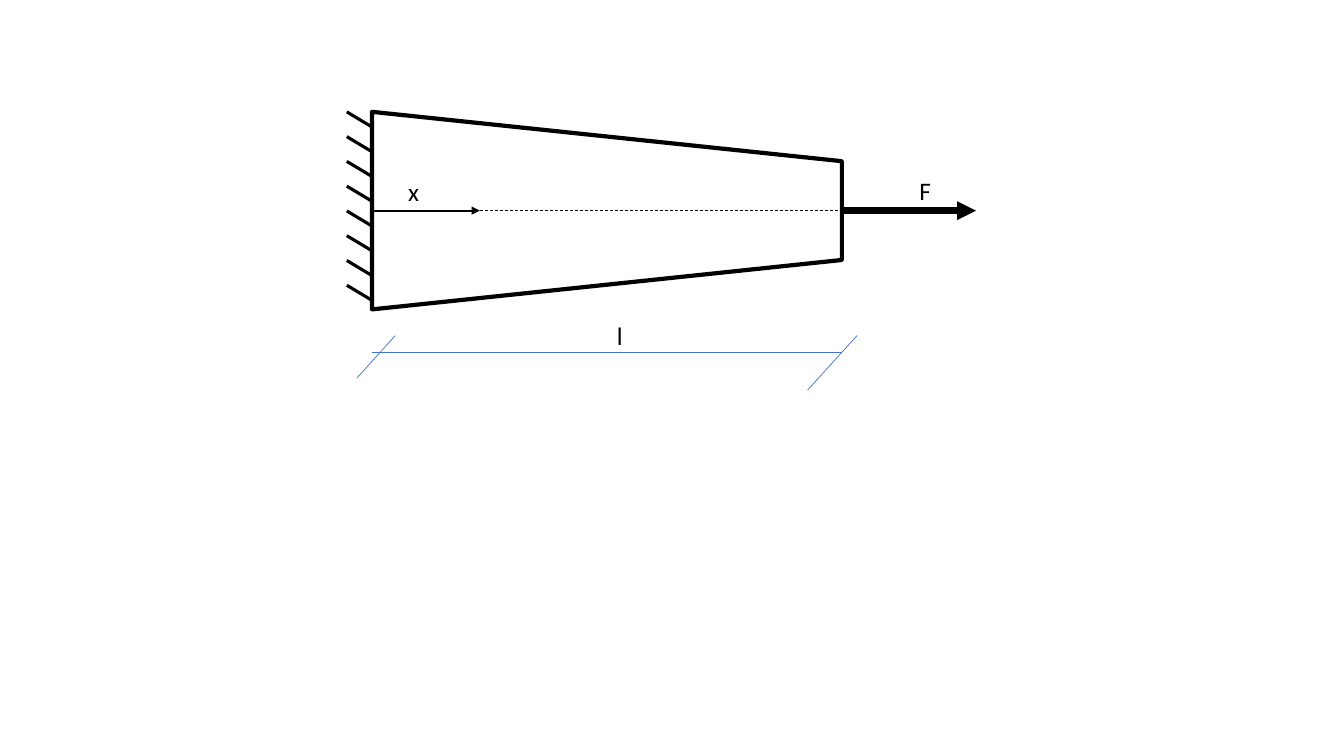
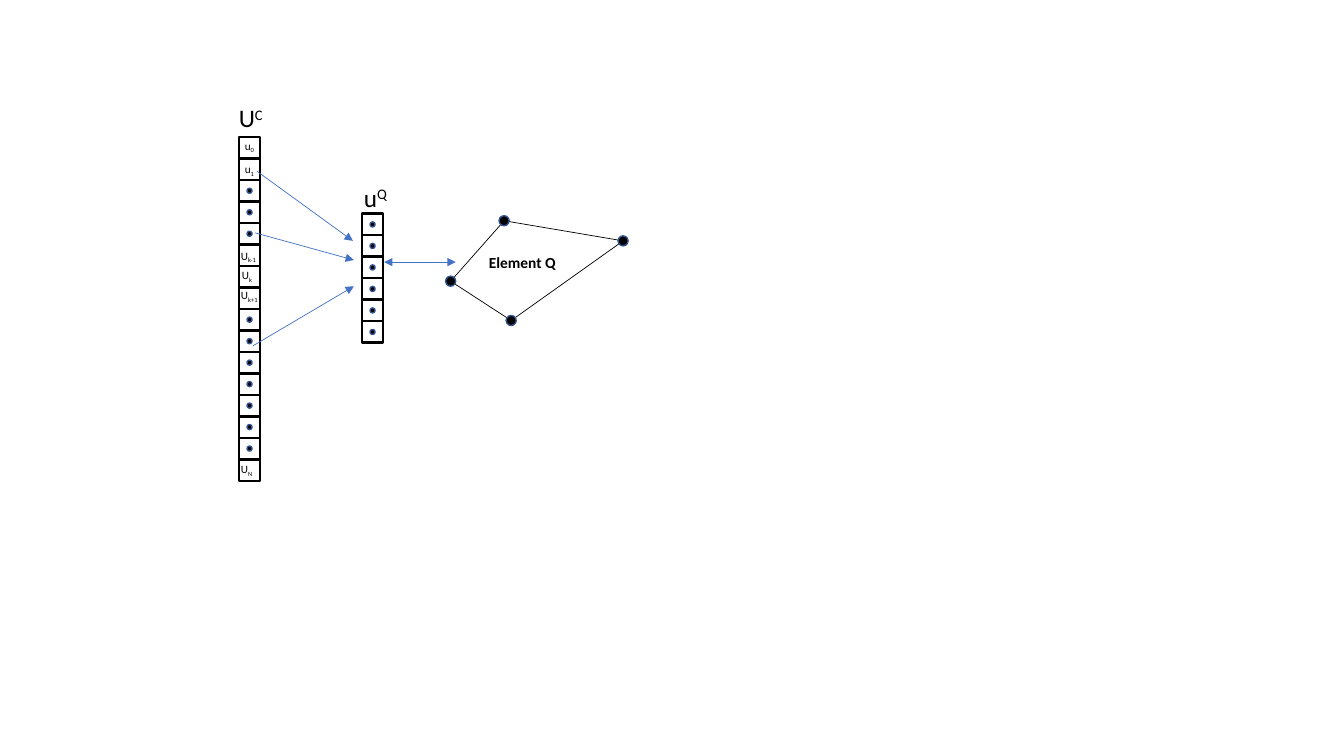
"""Build two slides: a tapered bar under load and a gather of element unknowns."""
from lxml import etree
from pptx import Presentation
from pptx.dml.color import RGBColor
from pptx.enum.dml import MSO_LINE
from pptx.enum.shapes import MSO_CONNECTOR, MSO_SHAPE
from pptx.enum.text import MSO_AUTO_SIZE
from pptx.oxml.ns import qn
from pptx.util import Emu, Pt

PX = 9144
SLIDE_WIDTH, SLIDE_HEIGHT = 1333, 750
BLANK_LAYOUT = 6

BLACK = RGBColor(0x00, 0x00, 0x00)
BLUE = RGBColor(0x44, 0x72, 0xC4)
DOT_EDGE = RGBColor(0x32, 0x54, 0x91)

STRAIGHT = MSO_CONNECTOR.STRAIGHT
DASH = MSO_LINE.DASH
RECTANGLE, ELLIPSE = MSO_SHAPE.RECTANGLE, MSO_SHAPE.OVAL
TRAPEZOID = MSO_SHAPE.TRAPEZOID
FIT_TEXT = MSO_AUTO_SIZE.SHAPE_TO_FIT_TEXT

LABEL = {"name": "Calibri", "size": Pt(18), "bold": False}
CELL_LABEL = {**LABEL, "size": Pt(8)}
ELEMENT_LABEL = {**LABEL, "size": Pt(11), "bold": True}
LABEL_FRAME = {"word_wrap": False, "auto_size": FIT_TEXT}
SUBSCRIPT, SUPERSCRIPT = "-25000", "30000"

BAR_LEFT, BAR_RIGHT, BAR_AXIS, BAR_HEIGHT = 369, 835, 209, 196
HATCH_FIRST, HATCH_LAST, HATCH_COUNT = 126, 298, 8
HATCH_WIDTH, HATCH_RISE = 25, 15
DIMENSION_Y = 350

CELL_SIZE, DOT_SIZE, NODE_SIZE = 21, 5, 10
GLOBAL_LEFT, GLOBAL_TOP, GLOBAL_HEIGHT, GLOBAL_COUNT = 237, 136, 341, 16
LOCAL_LEFT, LOCAL_TOP, LOCAL_HEIGHT, LOCAL_COUNT = 359, 212, 128, 6
GLOBAL_LABELS = {
    0: ("u", "0", 233, 133, 30),
    1: ("u", "1", 233, 156, 30),
    5: ("U", "k-1", 229, 242, 37),
    6: ("U", "k", 230, 261, 31),
    7: ("U", "k+1", 229, 281, 38),
    15: ("U", "N", 229, 454, 32),
}
GATHER_ARROWS = [
    ((255, 170), (350, 239)),
    ((253, 231), (351, 258)),
    ((251, 343), (351, 284)),
]
ELEMENT_NODES = [(500, 219), (618, 239), (507, 318), (447, 279)]


def px(length):
    """Turn px into EMU."""
    return Emu(round(length * PX))


def apply_format(target, values):
    """Set each attribute of the target from a dict."""
    for name, value in values.items():
        setattr(target, name, value)


def add_outline(slide, kind, box, color, weight, fill=None):
    """Add an outlined shape, filled only when a colour is given."""
    shape = slide.shapes.add_shape(kind, *map(px, box))
    shape.shadow.inherit = False
    if fill is None:
        shape.fill.background()
    else:
        shape.fill.solid()
        shape.fill.fore_color.rgb = fill
    shape.line.color.rgb = color
    shape.line.width = Pt(weight)
    return shape


def add_disc(slide, center, size):
    """Add a black disc around a centre point."""
    left, top = (value - size / 2 for value in center)
    add_outline(slide, ELLIPSE, (left, top, size, size), DOT_EDGE, 1, BLACK)


def add_line(slide, start, end, color, weight, ends=(), dash=None):
    """Add a straight line with optional arrowheads and dashes."""
    connector = slide.shapes.add_connector(STRAIGHT, *map(px, (*start, *end)))
    connector.line.color.rgb = color
    connector.line.width = Pt(weight)
    if dash is not None:
        connector.line.dash_style = dash
    outline = connector.line._get_or_add_ln()
    for end_name in ends:
        etree.SubElement(outline, qn(f"a:{end_name}"), type="triangle")
    etree.SubElement(connector._element.spPr, qn("a:effectLst"))


def add_label(slide, text, box, values=LABEL, script="", baseline=SUBSCRIPT):
    """Add a label with an optional raised or lowered index."""
    frame = slide.shapes.add_textbox(*map(px, box)).text_frame
    apply_format(frame, LABEL_FRAME)
    paragraph = frame.paragraphs[0]
    for part in filter(None, (text, script)):
        run = paragraph.add_run()
        run.text = part
        apply_format(run.font, values)
        run.font.color.rgb = BLACK
    if script:
        run._r.get_or_add_rPr().set("baseline", baseline)


def add_vector(slide, left, top, height, count, labelled=()):
    """Add a column of cells with a dot in each unlabelled one."""
    pitch = height / count
    for index in range(count):
        cell_top = top + index * pitch
        box = (left, cell_top, CELL_SIZE, pitch)
        add_outline(slide, RECTANGLE, box, BLACK, 1.75)
        if index not in labelled:
            center = (left + CELL_SIZE / 2, cell_top + pitch / 2)
            add_disc(slide, center, DOT_SIZE)


def build_bar_slide(slide):
    """Draw the clamped tapered bar, its load and its length."""
    length = BAR_RIGHT - BAR_LEFT
    box = ((BAR_LEFT + BAR_RIGHT - BAR_HEIGHT) / 2, BAR_AXIS - length / 2,
           BAR_HEIGHT, length)
    add_outline(slide, TRAPEZOID, box, BLACK, 3).rotation = 90

    pitch = (HATCH_LAST - HATCH_FIRST) / (HATCH_COUNT - 1)
    for index in range(HATCH_COUNT):
        y = HATCH_FIRST + index * pitch
        add_line(slide, (BAR_LEFT, y),
                 (BAR_LEFT - HATCH_WIDTH, y - HATCH_RISE), BLACK, 2.25)

    for start, end in [
        ((BAR_LEFT, DIMENSION_Y), (BAR_RIGHT, DIMENSION_Y)),
        ((354, 375), (392, 333)),
        ((801, 387), (850, 333)),
    ]:
        add_line(slide, start, end, BLUE, 0.5)

    axis_start, axis_end = (BAR_LEFT, BAR_AXIS), (476, BAR_AXIS)
    load_point = (BAR_RIGHT, BAR_AXIS)
    add_line(slide, load_point, (968, BAR_AXIS), BLACK, 4.5, ["tailEnd"])
    add_line(slide, axis_start, axis_end, BLACK, 1.25, ["tailEnd"])
    add_line(slide, axis_end, load_point, BLACK, 0.5, dash=DASH)

    for text, left, top, width in [
        ("l", 602, 313, 26), ("F", 902, 169, 32), ("x", 395, 170, 31),
    ]:
        add_label(slide, text, (left, top, width, 40))


def build_gather_slide(slide):
    """Draw the global vector, the element vector and the element."""
    add_vector(slide, LOCAL_LEFT, LOCAL_TOP, LOCAL_HEIGHT, LOCAL_COUNT)
    add_vector(slide, GLOBAL_LEFT, GLOBAL_TOP, GLOBAL_HEIGHT, GLOBAL_COUNT,
               GLOBAL_LABELS)
    for text, script, left, top, width in GLOBAL_LABELS.values():
        add_label(slide, text, (left, top, width, 24), CELL_LABEL, script)
    add_label(slide, "U", (227, 97, 47, 40), LABEL, "C", SUPERSCRIPT)
    add_label(slide, "u", (351, 176, 45, 40), LABEL, "Q", SUPERSCRIPT)

    for start, end in GATHER_ARROWS:
        add_line(slide, start, end, BLUE, 0.5, ["tailEnd"])
    add_line(slide, (381, 260), (452, 260), BLUE, 0.5, ["headEnd", "tailEnd"])

    following_nodes = ELEMENT_NODES[1:] + ELEMENT_NODES[:1]
    for start, end in zip(ELEMENT_NODES, following_nodes):
        add_line(slide, start, end, BLACK, 0.5)
    for center in ELEMENT_NODES:
        add_disc(slide, center, NODE_SIZE)
    add_label(slide, "Element Q", (475, 246, 87, 29), ELEMENT_LABEL)


def main():
    """Build and save the presentation."""
    presentation = Presentation()
    presentation.slide_width = px(SLIDE_WIDTH)
    presentation.slide_height = px(SLIDE_HEIGHT)
    layout = presentation.slide_layouts[BLANK_LAYOUT]
    for build in (build_bar_slide, build_gather_slide):
        build(presentation.slides.add_slide(layout))
    presentation.save("out.pptx")


if __name__ == "__main__":
    main()
